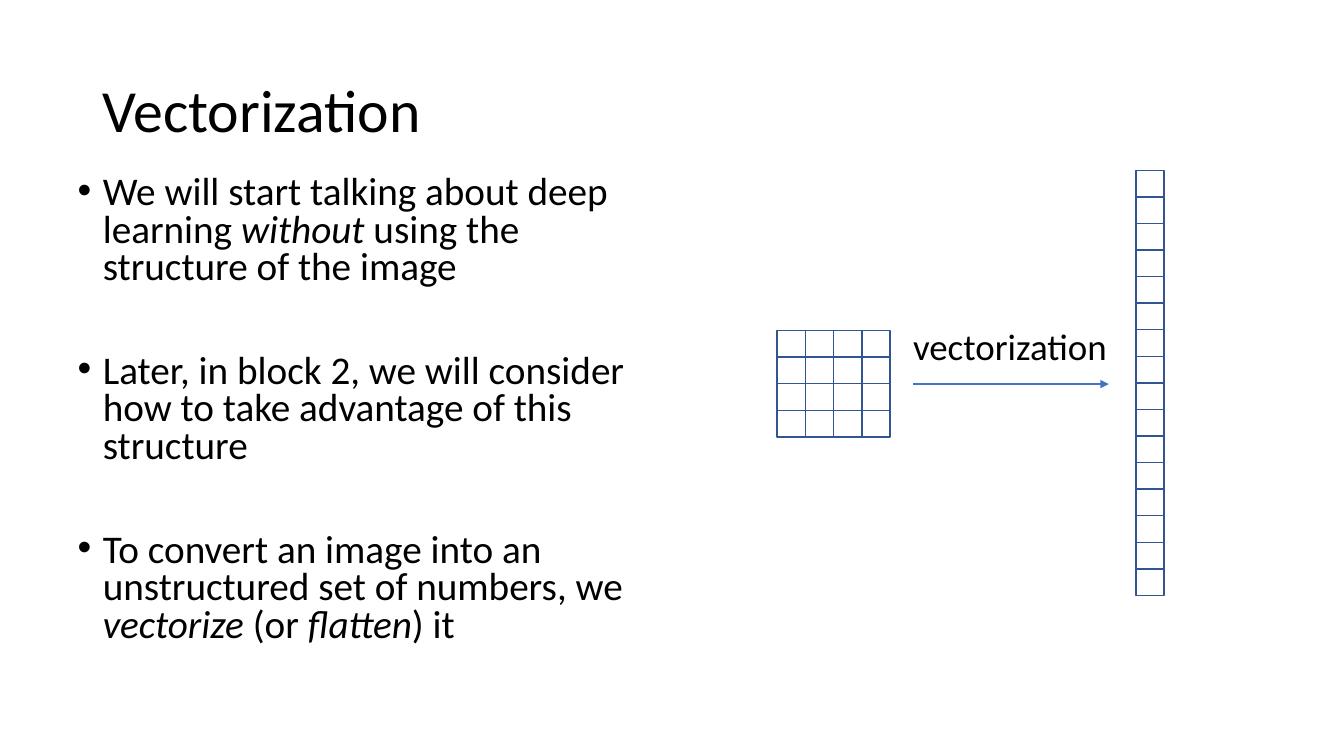
from pptx import Presentation
from pptx.dml.color import RGBColor
from pptx.enum.shapes import MSO_CONNECTOR, MSO_SHAPE
from pptx.enum.text import MSO_ANCHOR, MSO_AUTO_SIZE, PP_ALIGN
from pptx.oxml.ns import qn
from pptx.util import Pt
from lxml.etree import SubElement

RECT = MSO_SHAPE.RECTANGLE
LINE = MSO_CONNECTOR.STRAIGHT
LEFT = PP_ALIGN.LEFT
TOP, MIDDLE = MSO_ANCHOR.TOP, MSO_ANCHOR.MIDDLE
FIXED, GROW = MSO_AUTO_SIZE.NONE, MSO_AUTO_SIZE.SHAPE_TO_FIT_TEXT
BLACK = RGBColor(0x00, 0x00, 0x00)
NAVY = RGBColor(0x32, 0x54, 0x91)
BLUE = RGBColor(0x44, 0x72, 0xC4)
FONT = "Calibri"
CELL_W, CELL_H = 20.16, 18.98
SIDE = 4

POINTS = [
    [("We will start talking about deep learning ", False), ("without", True),
     (" using the structure of the image", False)],
    [("Later, in block 2, we will consider how to take advantage of this structure", False)],
    [("To convert an image into an unstructured set of numbers, we ", False),
     ("vectorize ", True), ("(or ", False), ("flatten", True), (") it", False)],
]


class Canvas:
    """Holds the style and the current slide."""

    def __init__(self, deck):
        self.slide = deck.slides.add_slide(deck.slide_layouts[1])
        self.shapes = self.slide.shapes

    def place(self, shape, left, top, width, height):
        """Move and size a shape, in points."""
        shape.left, shape.top = Pt(left), Pt(top)
        shape.width, shape.height = Pt(width), Pt(height)

    def add_runs(self, para, runs, size):
        """Add runs of text and italic flag to a paragraph."""
        para.alignment = LEFT
        for text, slant in runs:
            run = para.add_run()
            run.text = text
            font = run.font
            font.name, font.size, font.italic = FONT, Pt(size), slant
            font.color.rgb = BLACK

    def title(self, text, box):
        """Fill the title placeholder."""
        shape = self.shapes.title
        self.place(shape, *box)
        frame = shape.text_frame
        frame.auto_size, frame.vertical_anchor = FIXED, MIDDLE
        para = frame.paragraphs[0]
        para.line_spacing = 0.9
        self.add_runs(para, [(text, False)], 42.7)

    def bullets(self, points, box):
        """Fill the body placeholder with a list."""
        shape = self.slide.placeholders[1]
        self.place(shape, *box)
        frame = shape.text_frame
        frame.auto_size, frame.vertical_anchor = FIXED, TOP
        for i, runs in enumerate(points):
            para = frame.add_paragraph() if i else frame.paragraphs[0]
            para.line_spacing = 0.8
            para.space_before = Pt(47 if i else 10)
            self.add_runs(para, runs, 28)
            props = para._p.get_or_add_pPr()
            props.set("marL", str(Pt(18)))
            props.set("indent", str(Pt(-18)))
            SubElement(props, qn("a:buFont")).set("typeface", "Arial")
            SubElement(props, qn("a:buChar")).set("char", "•")

    def grid(self, left, top, rows, cols):
        """Draw outlined cells in rows and columns."""
        for i in range(rows * cols):
            row, col = divmod(i, cols)
            cell = self.shapes.add_shape(
                RECT, Pt(left + col * CELL_W), Pt(top + row * CELL_H), Pt(CELL_W), Pt(CELL_H))
            cell.shadow.inherit = False
            cell.fill.background()
            cell.line.color.rgb, cell.line.width = NAVY, Pt(1)

    def arrow(self, start, end, level):
        """Draw a level arrow to the right."""
        link = self.shapes.add_connector(LINE, Pt(start), Pt(level), Pt(end), Pt(level))
        link.line.color.rgb, link.line.width = BLUE, Pt(1)
        props = link._element.spPr
        SubElement(props.find(qn("a:ln")), qn("a:tailEnd")).set("type", "triangle")
        SubElement(props, qn("a:effectLst"))

    def label(self, text, box):
        """Add a text box of one line."""
        shape = self.shapes.add_textbox(*map(Pt, box))
        frame = shape.text_frame
        frame.word_wrap, frame.auto_size = False, GROW
        self.add_runs(frame.paragraphs[0], [(text, False)], 26.4)


def main():
    """Build the slide and save it."""
    deck = Presentation()
    deck.slide_width, deck.slide_height = Pt(960), Pt(540)
    page = Canvas(deck)
    page.title("Vectorization", (66, 28.8, 828, 104.4))
    page.bullets(POINTS, (48.24, 121.68, 423.36, 375.12))
    page.grid(555.12, 236.16, SIDE, SIDE)
    page.arrow(652.32, 792, 274.32)
    page.label("vectorization", (645.12, 227.52, 154.8, 38.88))
    page.grid(811.44, 121.68, SIDE * SIDE, 1)
    deck.save("out.pptx")


if __name__ == "__main__":
    main()
